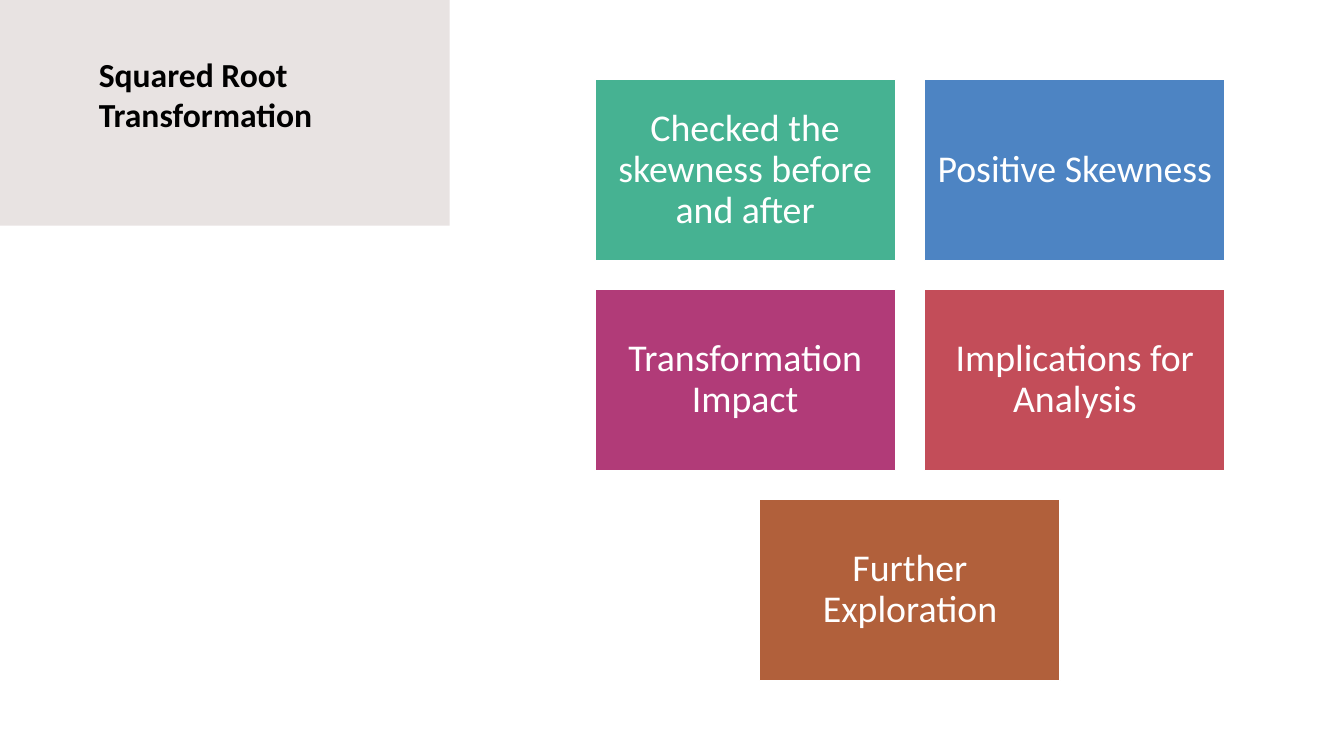
import pptx
import pptx.dml.color
import pptx.enum.shapes
import pptx.enum.text
import pptx.util

Inches = pptx.util.Inches
FONT = "Calibri"
TITLE = "Squared Root Transformation"
TITLE_PANEL = (0, 0, 4.46, 2.24)
CARD_AREA = (5.9, 0.79, 6.25, 5.96)
CARD_GAP = 0.29
COLUMNS = 2
CARDS = [
    ("Checked the skewness before and after", "46B292"),
    ("Positive Skewness", "4D84C3"),
    ("Transformation Impact", "B13B78"),
    ("Implications for Analysis", "C34D59"),
    ("Further Exploration", "B1603B"),
]


def color(value):
    return pptx.dml.color.RGBColor.from_string(value)


def add_rectangle(slide, box, fill):
    shape = slide.shapes.add_shape(
        pptx.enum.shapes.MSO_SHAPE.RECTANGLE, *map(Inches, box)
    )
    shape.shadow.inherit = False
    shape.fill.solid()
    shape.fill.fore_color.rgb = color(fill)
    return shape


def set_text(shape, text, size, font_color, alignment, bold=False):
    frame = shape.text_frame
    frame.text = text
    frame.word_wrap = True
    frame.auto_size = pptx.enum.text.MSO_AUTO_SIZE.NONE
    frame.vertical_anchor = pptx.enum.text.MSO_ANCHOR.MIDDLE
    paragraph = frame.paragraphs[0]
    paragraph.alignment = alignment
    font = paragraph.runs[0].font
    font.name = FONT
    font.size = pptx.util.Pt(size)
    font.bold = bold
    font.color.rgb = color(font_color)
    return paragraph


def add_title_panel(slide, box):
    left, top, width, height = box
    panel = add_rectangle(slide, box, "E8E3E2")
    panel.line.fill.background()
    title = slide.shapes.title
    title.element.addprevious(panel.element)
    title.left, title.top = Inches(left + 0.88), Inches(top + 0.39)
    title.width, title.height = Inches(width - 1.32), Inches(height - 0.76)
    paragraph = set_text(
        title, TITLE, 24, "000000", pptx.enum.text.PP_ALIGN.LEFT, bold=True
    )
    paragraph.line_spacing = 1.0
    title.text_frame.margin_bottom = Inches(0.45)


def add_card(slide, box, text, fill):
    card = add_rectangle(slide, box, fill)
    card.line.color.rgb = color("FFFFFF")
    card.line.width = pptx.util.Pt(1)
    paragraph = set_text(card, text, 27, "FFFFFF", pptx.enum.text.PP_ALIGN.CENTER)
    paragraph.line_spacing = 0.9
    frame = card.text_frame
    frame.margin_left = frame.margin_right = Inches(0.11)
    frame.margin_top = frame.margin_bottom = Inches(0.11)


def add_card_grid(slide, box):
    left, top, width, height = box
    rows = [CARDS[start:start + COLUMNS] for start in range(0, len(CARDS), COLUMNS)]
    card_width = (width - CARD_GAP * (COLUMNS - 1)) / COLUMNS
    card_height = (height - CARD_GAP * (len(rows) - 1)) / len(rows)
    for row_index, row in enumerate(rows):
        row_width = len(row) * (card_width + CARD_GAP) - CARD_GAP
        row_left = left + (width - row_width) / 2
        card_top = top + row_index * (card_height + CARD_GAP)
        for column, (text, fill) in enumerate(row):
            card_left = row_left + column * (card_width + CARD_GAP)
            add_card(slide, (card_left, card_top, card_width, card_height), text, fill)


def main():
    presentation = pptx.Presentation()
    presentation.slide_width = Inches(13.33)
    presentation.slide_height = Inches(7.5)
    slide = presentation.slides.add_slide(presentation.slide_layouts[5])
    add_title_panel(slide, TITLE_PANEL)
    add_card_grid(slide, CARD_AREA)
    presentation.save("out.pptx")


if __name__ == "__main__":
    main()
